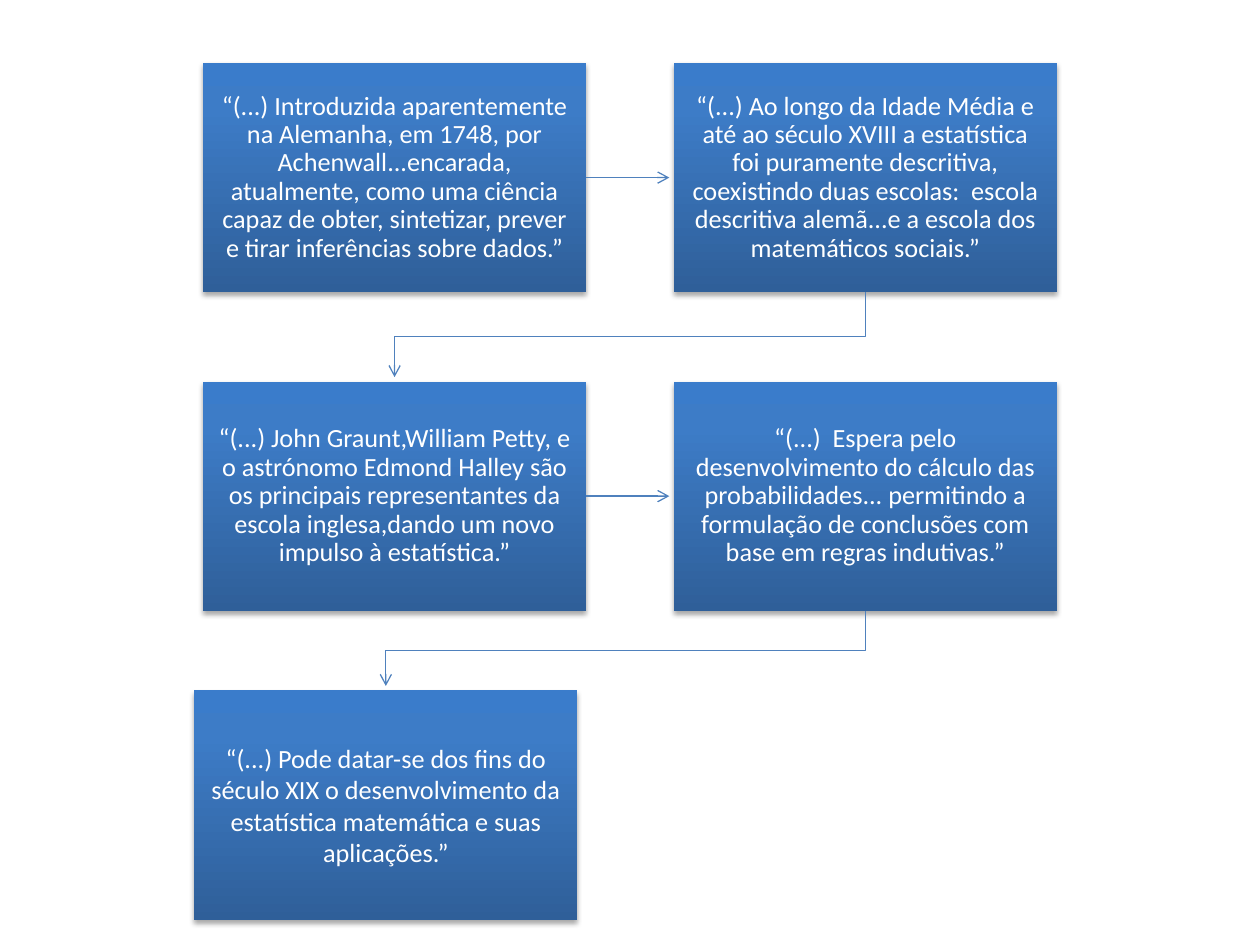
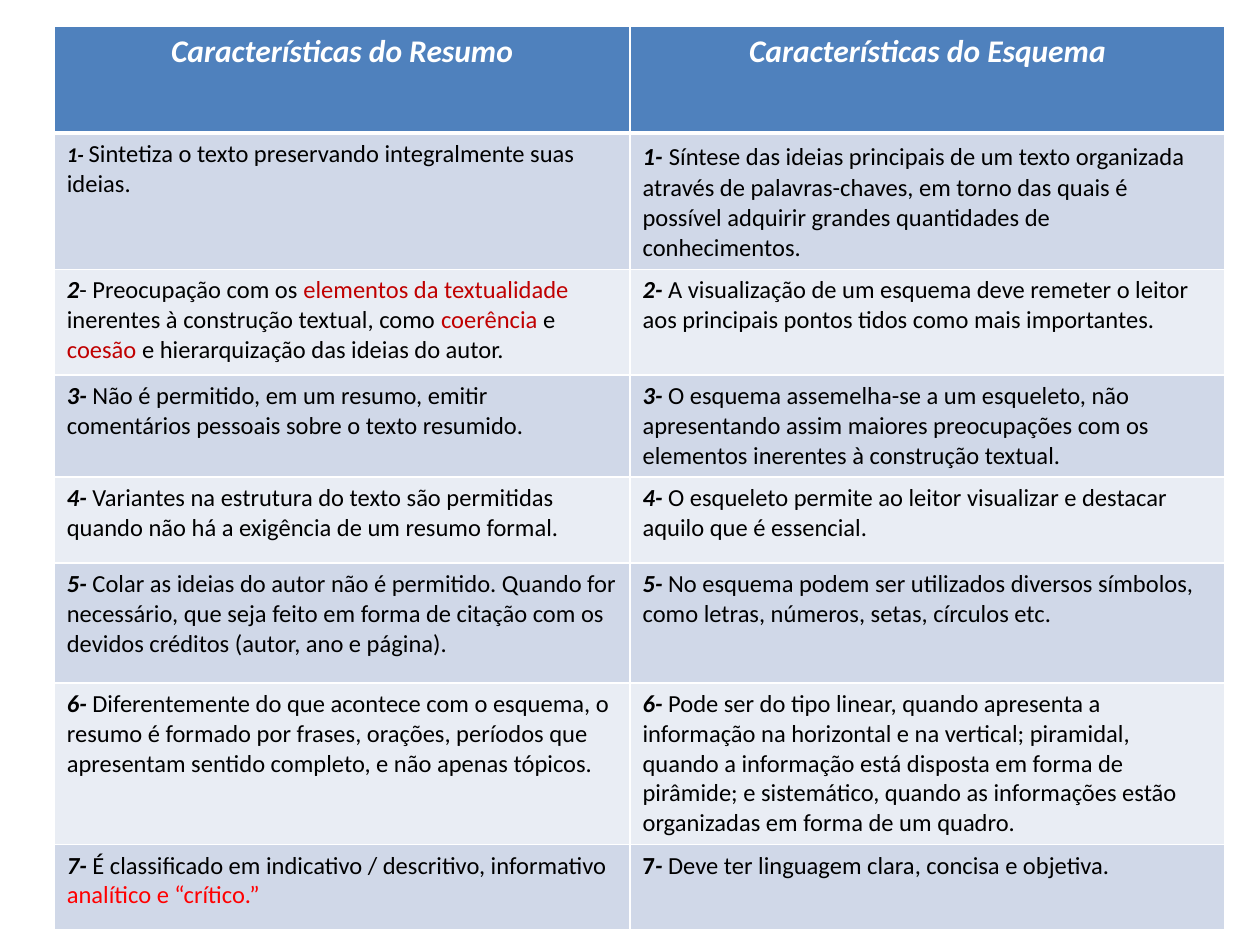
"""Builds two slides: a chain of quotes on statistics and a table comparing two study texts."""
from dataclasses import dataclass
from typing import NamedTuple

from lxml.etree import SubElement as Sub
from pptx import Presentation
from pptx.dml.color import RGBColor as RGB
from pptx.enum.shapes import MSO_CONNECTOR as LINK, MSO_SHAPE as SHAPE
from pptx.enum.text import MSO_ANCHOR as ANCHOR, PP_ALIGN as ALIGN
from pptx.oxml.ns import qn
from pptx.util import Pt


@dataclass(frozen=True)
class Theme:
    font: str = "Calibri"
    white: str = "FFFFFF"
    black: str = "000000"
    blue: str = "4F81BD"
    wine: str = "C00000"
    red: str = "FF0000"
    bands: tuple = ("D0D8E8", "E9EDF4")
    fade: tuple = ((0, "2F5F99"), (80, "3D7CC7"), (100, "3A7CCB"))
    head: float = 18
    quote: float = 15
    body: float = 14
    wide: float = 16
    small: float = 12
    line: float = 0.75
    rule: float = 1
    thick: float = 3


T = Theme()


class Run(NamedTuple):
    text: str
    color: str = T.black
    size: float = T.body
    bold: bool = False
    slant: bool = False


class Quote(NamedTuple):
    left: float
    top: float
    text: str
    pitch: float | None = 0.9


BOX_W, BOX_H = 219, 131
LEFT, TOP = 116, 36
STEP_X, STEP_Y = 269, 182
GAP = 2.5

QUOTES = (
    Quote(LEFT, TOP, "“(...) Introduzida aparentemente na Alemanha, em 1748, por Achenwall...encarada, "
          "atualmente, como uma ciência capaz de obter, sintetizar, prever e tirar inferências "
          "sobre dados.”"),
    Quote(LEFT + STEP_X, TOP, "“(...) Ao longo da Idade Média e até ao século XVIII a estatística foi "
          "puramente descritiva, coexistindo duas escolas:  escola descritiva alemã...e a escola "
          "dos matemáticos sociais.”"),
    Quote(LEFT, TOP + STEP_Y, "“(...) John Graunt,William Petty, e o astrónomo Edmond Halley são os "
          "principais representantes da escola inglesa,dando um novo impulso à estatística.”"),
    Quote(LEFT + STEP_X, TOP + STEP_Y, "“(...)  Espera pelo desenvolvimento do cálculo das "
          "probabilidades... permitindo a formulação de conclusões com base em regras indutivas.”"),
    Quote(111, 394.5, "“(...) Pode datar-se dos fins do século XIX o desenvolvimento da estatística "
          "matemática e suas aplicações.”", None),
)


def mark(text: str, size: float = T.body) -> Run:
    """Return a bold italic item number."""
    return Run(text, size=size, bold=True, slant=True)


def item(num: int, text: str) -> list[Run]:
    """Return the runs of a plain numbered item."""
    return [mark(f"{num}-"), Run(" " + text)]


def title(text: str) -> list[Run]:
    """Return the run of a column title."""
    return [Run(text, T.white, T.head, True, True)]


ROWS = (
    (title("Características do Resumo"), title("Características do Esquema")),
    ([mark("1- ", T.small), Run("Sintetiza o texto preservando integralmente suas ideias.")],
     [mark("1-"), Run(" ", size=T.wide),
      Run("Síntese das ideias principais de um texto organizada através de palavras-chaves, em "
          "torno das quais é possível adquirir grandes quantidades de conhecimentos.")]),
    ([mark("2"), Run("- Preocupação com os "), Run("elementos da textualidade ", T.wine),
      Run("inerentes à construção textual, como "), Run("coerência", T.wine), Run(" e "),
      Run("coesão", T.wine), Run(" e hierarquização das ideias do autor.")],
     item(2, "A visualização de um esquema deve remeter o leitor aos principais pontos tidos "
          "como mais importantes.")),
    (item(3, "Não é permitido, em um resumo, emitir comentários pessoais sobre o texto resumido."),
     item(3, "O esquema assemelha-se a um esqueleto, não apresentando assim maiores preocupações "
          "com os elementos inerentes à construção textual.")),
    (item(4, "Variantes na estrutura do texto são permitidas quando não há a exigência de um "
          "resumo formal."),
     item(4, "O esqueleto permite ao leitor visualizar e destacar aquilo que é essencial.")),
    (item(5, "Colar as ideias do autor não é permitido. Quando for necessário, que seja feito em "
          "forma de citação com os devidos créditos (autor, ano e página)."),
     item(5, "No esquema podem ser utilizados diversos símbolos, como letras, números, setas, "
          "círculos etc.")),
    (item(6, "Diferentemente do que acontece com o esquema, o resumo é formado por frases, "
          "orações, períodos que apresentam sentido completo, e não apenas tópicos."),
     item(6, "Pode ser do tipo linear, quando apresenta a informação na horizontal e na vertical; "
          "piramidal, quando a informação está disposta em forma de pirâmide; e sistemático, "
          "quando as informações estão organizadas em forma de um quadro.")),
    (item(7, "É classificado em indicativo / descritivo, informativo ")
     + [Run("analítico e “crítico.”", T.red)],
     [Run("7", bold=True), mark("-"), Run(" Deve ter linguagem clara, concisa e objetiva.")]),
)
COLS = (329, 340)
HEIGHTS = (61, 62.5, 60.5, 54, 49, 68.5, 60, 49)


def write(para, runs: list[Run]) -> None:
    """Add styled runs to a paragraph."""
    for run in runs:
        part = para.add_run()
        part.text = run.text
        font = part.font
        font.name, font.size = T.font, Pt(run.size)
        font.bold, font.italic = run.bold, run.slant
        font.color.rgb = RGB.from_string(run.color)


def tint(parent, color: str, alpha: int = 100) -> None:
    """Add a colour element to an XML parent."""
    node = Sub(parent, qn("a:srgbClr"), val=color)
    if alpha < 100:
        Sub(node, qn("a:alpha"), val=str(alpha * 1000))


def add_box(slide, quote: Quote):
    """Draw a shaded box holding one quote."""
    box = slide.shapes.add_shape(SHAPE.RECTANGLE, Pt(quote.left), Pt(quote.top), Pt(BOX_W), Pt(BOX_H))
    box.line.fill.background()
    box.fill.gradient()
    box.fill.gradient_angle = 90
    props = box._element.spPr
    stops = props.find(qn("a:gradFill")).find(qn("a:gsLst"))
    for stop in list(stops):
        stops.remove(stop)
    for place, color in T.fade:
        tint(Sub(stops, qn("a:gs"), pos=str(place * 1000)), color)
    box.shadow.inherit = False
    shade = Sub(props.find(qn("a:effectLst")), qn("a:outerShdw"), blurRad=str(Pt(3.1)),
                dist=str(Pt(1.8)), dir="5400000", rotWithShape="0")
    tint(shade, T.black, 35)
    frame = box.text_frame
    frame.word_wrap, frame.vertical_anchor = True, ANCHOR.MIDDLE
    frame.margin_left = frame.margin_right = frame.margin_top = frame.margin_bottom = Pt(8.5)
    para = frame.paragraphs[0]
    para.alignment = ALIGN.CENTER
    if quote.pitch:
        para.line_spacing = quote.pitch
    write(para, [Run(quote.text, T.white, T.quote)])
    return box


def style(line) -> None:
    """Give a line its colour, width and open arrowhead."""
    line.color.rgb = RGB.from_string(T.blue)
    line.width = Pt(T.line)
    Sub(line._get_or_add_ln(), qn("a:tailEnd"), type="arrow")


def add_arrow(slide, start, end) -> None:
    """Draw a straight arrow to the box on the right."""
    mid = start.top + start.height // 2
    arrow = slide.shapes.add_connector(LINK.STRAIGHT, start.left + start.width, mid,
                                       end.left - Pt(GAP), mid)
    arrow.begin_connect(start, 3)
    style(arrow.line)
    Sub(arrow._element.spPr, qn("a:effectLst"))


def add_bend(slide, start, end) -> None:
    """Draw a bent arrow down to the box of the next row."""
    here, there = (box.left + box.width // 2 for box in (start, end))
    base = start.top + start.height
    mid = (base + end.top) // 2
    path = slide.shapes.build_freeform(here, base)
    path.add_line_segments([(here, mid), (there, mid), (there, end.top - Pt(GAP))], close=False)
    bend = path.convert_to_shape()
    bend.fill.background()
    bend.shadow.inherit = False
    style(bend.line)


def add_edges(cell, top: float, base: float) -> None:
    """Draw the white borders of a cell."""
    props = cell._tc.get_or_add_tcPr()
    for side, width in (("L", T.rule), ("R", T.rule), ("T", top), ("B", base)):
        tint(Sub(Sub(props, qn(f"a:ln{side}"), w=str(Pt(width))), qn("a:solidFill")), T.white)


def draw_chain(slide) -> None:
    """Draw the quotes and the arrows that join them."""
    boxes = [add_box(slide, quote) for quote in QUOTES]
    for start, end in zip(boxes, boxes[1:]):
        join = add_arrow if start.top == end.top else add_bend
        join(slide, start, end)


def draw_table(slide) -> None:
    """Draw the comparison table."""
    table = slide.shapes.add_table(len(ROWS), len(COLS), Pt(31), Pt(15),
                                   Pt(sum(COLS)), Pt(sum(HEIGHTS))).table
    for col, width in zip(table.columns, COLS):
        col.width = Pt(width)
    for row, height in zip(table.rows, HEIGHTS):
        row.height = Pt(height)
    for i, row in enumerate(ROWS):
        for j, runs in enumerate(row):
            cell = table.cell(i, j)
            add_edges(cell, T.thick if i == 1 else T.rule, T.rule if i else T.thick)
            cell.fill.solid()
            cell.fill.fore_color.rgb = RGB.from_string(T.bands[(i - 1) % 2] if i else T.blue)
            para = cell.text_frame.paragraphs[0]
            para.alignment = ALIGN.LEFT if i else ALIGN.CENTER
            write(para, runs)


def main() -> None:
    """Build and save the slides."""
    deck = Presentation()
    deck.slide_width, deck.slide_height = Pt(720), Pt(540)
    for draw in (draw_chain, draw_table):
        draw(deck.slides.add_slide(deck.slide_layouts[6]))
    deck.save("out.pptx")


if __name__ == "__main__":
    main()
